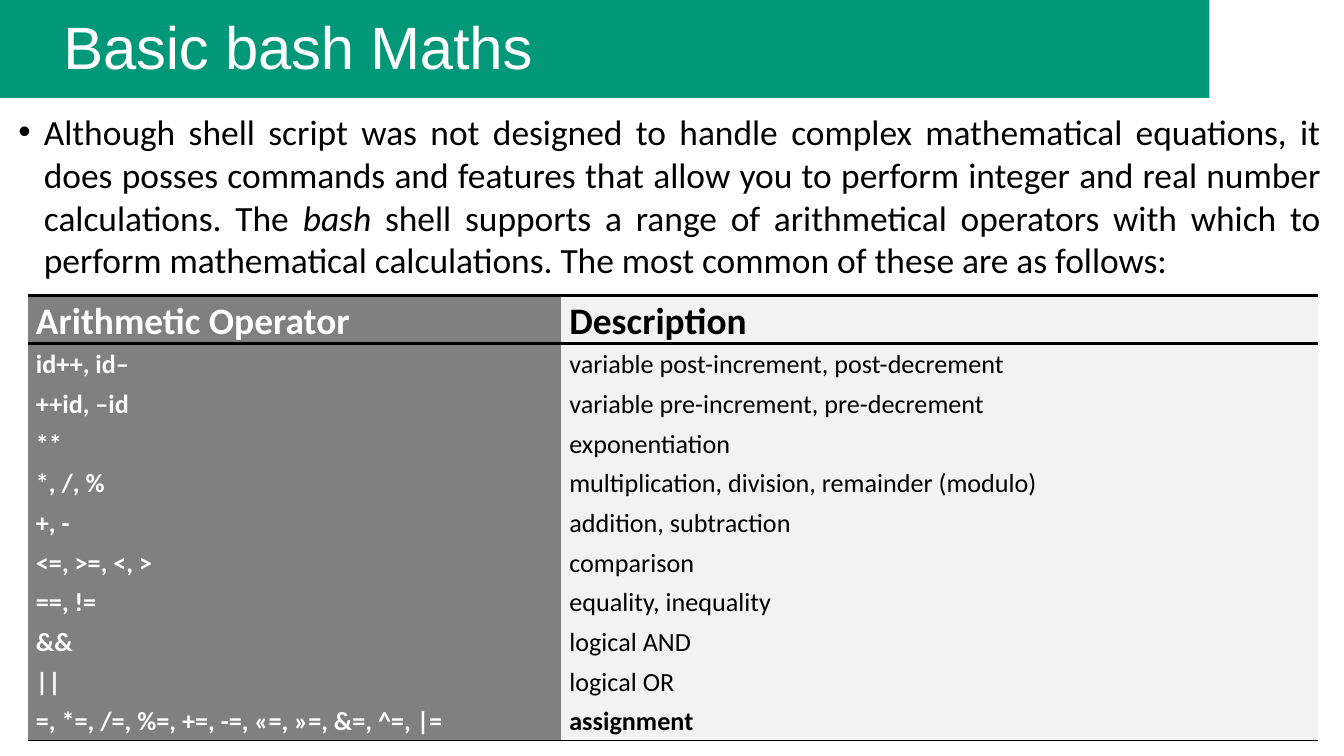
import pptx
import pptx.dml.color
import pptx.enum.shapes
import pptx.enum.text
import pptx.oxml
import pptx.oxml.ns
import pptx.util

Cm = pptx.util.Cm
Pt = pptx.util.Pt

COLOURS = {
    "banner": "009878",
    "operator": "808080",
    "description": "F2F2F2",
    "light": "FFFFFF",
    "dark": "000000",
}

INTRO = [
    ("Although shell script was not designed to handle complex mathematical "
     "equations, it does posses commands and features that allow you to perform "
     "integer and real number calculations. The ", False),
    ("bash", True),
    (" shell supports a range of arithmetical operators with which to perform "
     "mathematical calculations. The most common of these are as follows:", False),
]

OPERATORS = [
    ("Arithmetic Operator", "Description"),
    ("id++, id–", "variable post-increment, post-decrement"),
    ("++id, –id", "variable pre-increment, pre-decrement"),
    ("**", "exponentiation"),
    ("*, /, %", "multiplication, division, remainder (modulo)"),
    ("+, -", "addition, subtraction"),
    ("<=, >=, <, >", "comparison"),
    ("==, !=", "equality, inequality"),
    ("&&", "logical AND"),
    ("||", "logical OR"),
    ("=, *=, /=, %=, +=, -=, «=, »=, &=, ^=, |=", "assignment"),
]

PLAIN_STYLE = "{2D5ABB26-0587-4C30-8999-92F81FD0307C}"


def colour(name):
    return pptx.dml.color.RGBColor.from_string(COLOURS[name])


def apply_format(target, **values):
    for name, value in values.items():
        setattr(target, name, value)


def add_span(para, text, ink, **font_values):
    span = para.add_run()
    span.text = text
    apply_format(span.font, **font_values)
    span.font.color.rgb = colour(ink)
    return span


def add_text(page, area, inset_top):
    """Add a wrapping text box and return its first paragraph."""
    frame = page.shapes.add_textbox(*map(Cm, area)).text_frame
    apply_format(frame, word_wrap=True, margin_left=0, margin_right=0,
                 margin_top=Cm(inset_top), margin_bottom=0,
                 auto_size=pptx.enum.text.MSO_AUTO_SIZE.SHAPE_TO_FIT_TEXT)
    return frame.paragraphs[0]


def add_border(cell, side, width):
    line = pptx.oxml.parse_xml(
        f'<a:ln{side} {pptx.oxml.ns.nsdecls("a")} w="{Pt(width)}"><a:solidFill>'
        f'<a:srgbClr val="{COLOURS["dark"]}"/></a:solidFill></a:ln{side}>')
    cell._tc.get_or_add_tcPr().insert(0, line)


def add_banner(page, area):
    left, top, width, height = area
    banner = page.shapes.add_shape(
        pptx.enum.shapes.MSO_SHAPE.RECTANGLE, *map(Cm, area))
    banner.shadow.inherit = False
    banner.fill.solid()
    banner.fill.fore_color.rgb = colour("banner")
    banner.line.fill.background()

    # Title
    para = add_text(page, (left + 1.17, top + 0.15, 14.71, 1.4), 0.03)
    para.space_before = Pt(1)
    para._p.get_or_add_pPr().set("marL", str(Cm(0.03)))
    span = add_span(para, "Basic bash Maths", "light", name="Arial", size=Pt(32))
    span.font._element.set("spc", "-10")


def add_intro(page, area):
    para = add_text(page, area, 0.08)
    apply_format(para, space_after=Pt(5),
                 alignment=pptx.enum.text.PP_ALIGN.JUSTIFY)
    for text, italic in INTRO:
        add_span(para, text, "dark", name="Calibri", size=Pt(19), italic=italic)

    # Bullet with hanging indent
    properties = para._p.get_or_add_pPr()
    properties.set("marL", str(Cm(0.5)))
    properties.set("indent", str(Cm(-0.48)))
    for tag, key, value in (("buFont", "typeface", "Arial"),
                            ("buChar", "char", "•")):
        properties.append(pptx.oxml.parse_xml(
            f'<a:{tag} {pptx.oxml.ns.nsdecls("a")} {key}="{value}"/>'))


def add_operator_table(page, area):
    table = page.shapes.add_table(len(OPERATORS), 2, *map(Cm, area)).table
    apply_format(table, first_row=False, horz_banding=False)
    table._tbl.tblPr[0].text = PLAIN_STYLE
    operator_width = 10.08
    table.columns[0].width = Cm(operator_width)
    table.columns[1].width = Cm(area[2] - operator_width)

    last = len(OPERATORS) - 1
    for row, texts in enumerate(OPERATORS):
        header = row == 0
        table.rows[row].height = Cm(0.41 if header else 0.75)
        for column, text in enumerate(texts):
            cell = table.cell(row, column)
            anchors = pptx.enum.text.MSO_ANCHOR
            apply_format(cell, margin_left=Cm(0.15), margin_right=Cm(0.15),
                         margin_top=0, margin_bottom=0,
                         vertical_anchor=anchors.TOP if header else anchors.MIDDLE)
            cell.fill.solid()
            cell.fill.fore_color.rgb = colour(("operator", "description")[column])
            para = cell.text_frame.paragraphs[0]
            apply_format(para, line_spacing=1.07, space_after=Pt(8))
            add_span(para, text, ("light", "dark")[column], name="Calibri",
                     size=Pt(20 if header else 14),
                     bold=column == 0 or row in (0, last))
            # Rules around the header and under the last row
            if header:
                add_border(cell, "B", 2)
                add_border(cell, "T", 2)
            elif row == last:
                add_border(cell, "B", 1)


def main():
    deck = pptx.Presentation()
    apply_format(deck, slide_width=Cm(25.4), slide_height=Cm(14.29))
    page = deck.slides.add_slide(deck.slide_layouts[6])
    add_banner(page, (0, 0, 22.86, 1.85))
    add_intro(page, (0.33, 2.01, 24.64, 3.33))
    add_operator_table(page, (0.53, 5.59, 24.38, 8.36))
    deck.save("out.pptx")


if __name__ == "__main__":
    main()
